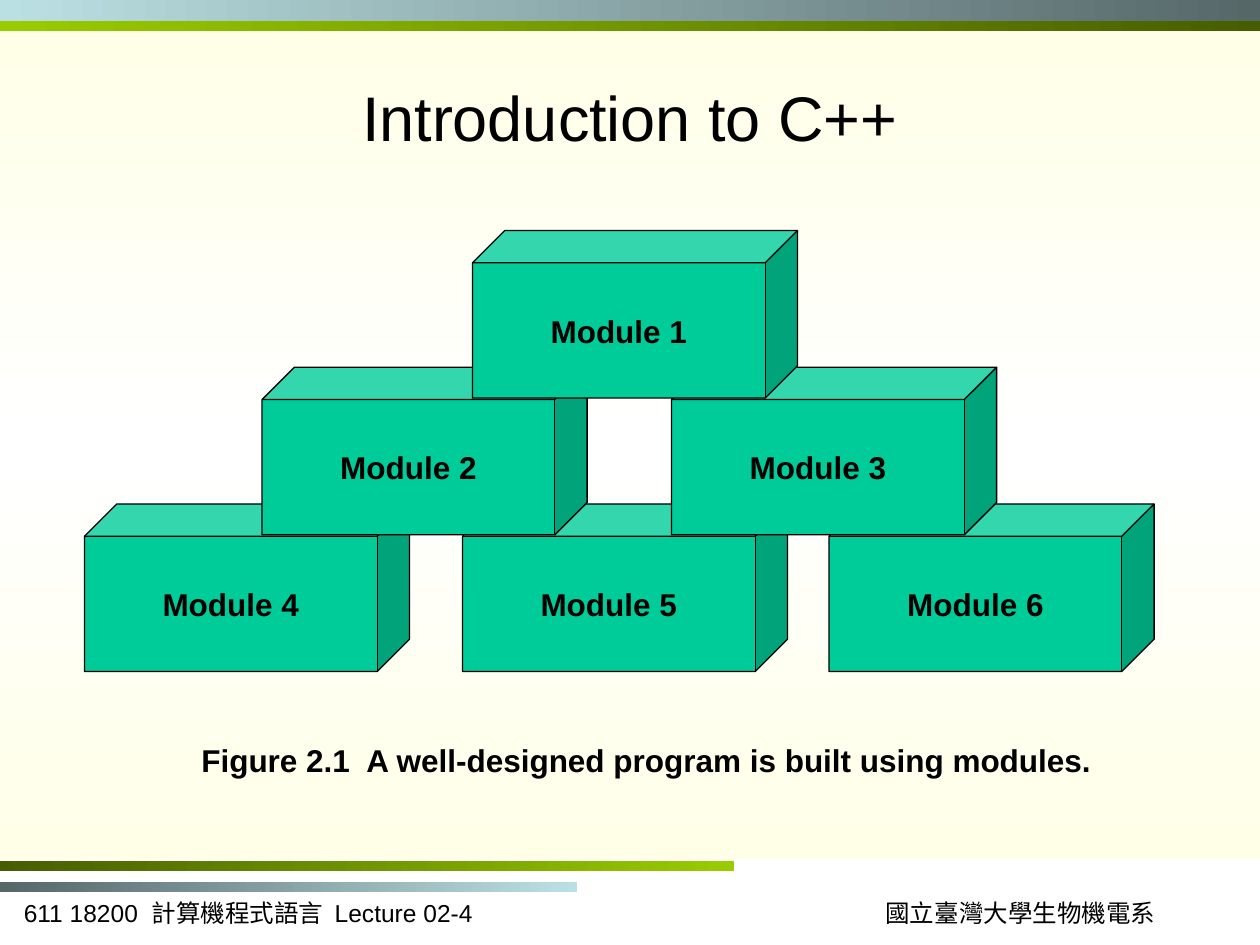
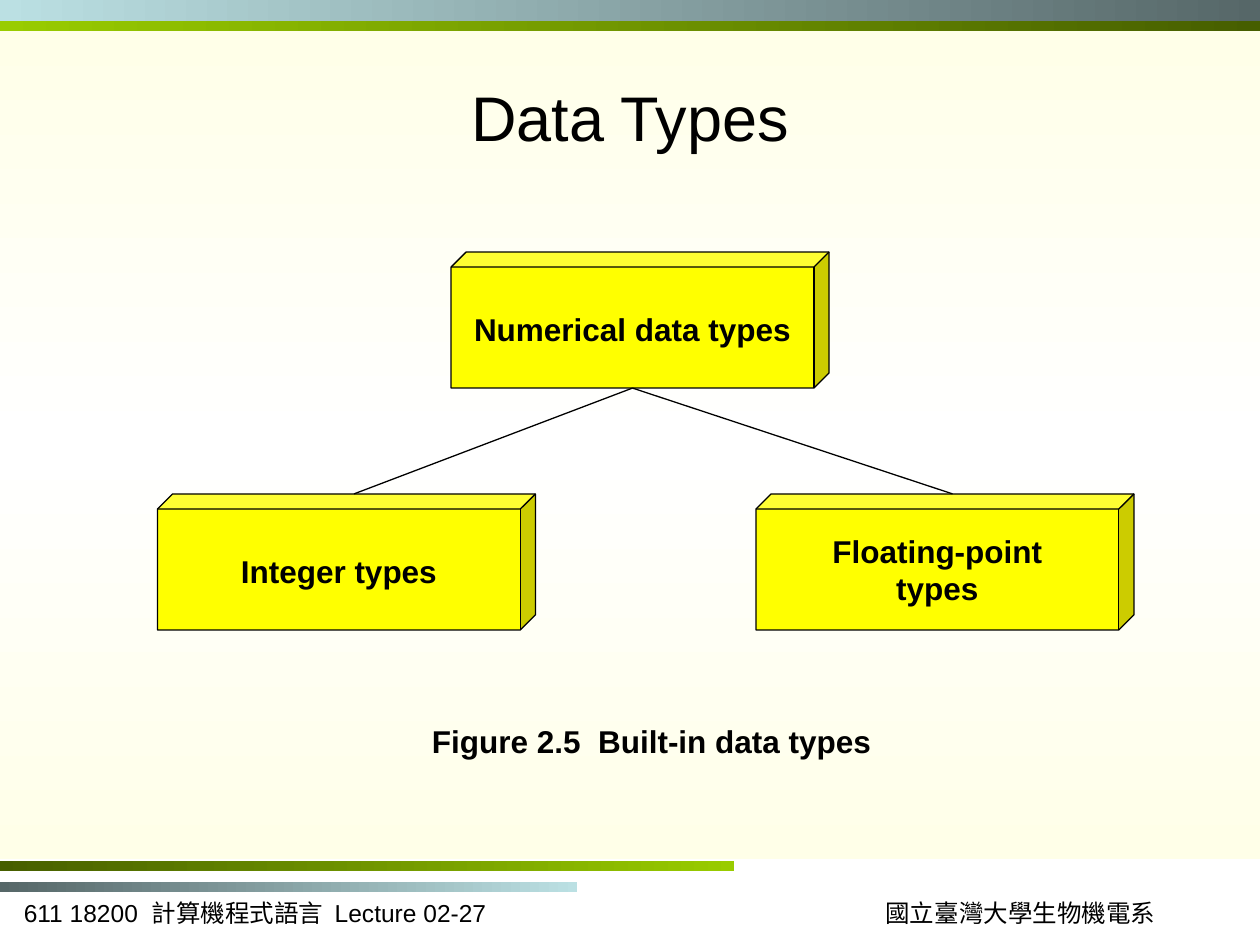
import dataclasses

import pptx
import pptx.dml.color
import pptx.enum.shapes
import pptx.enum.text
import pptx.oxml
import pptx.oxml.ns
import pptx.util
from pptx.util import Inches

KIND = pptx.enum.shapes.MSO_SHAPE
ALIGN = pptx.enum.text.PP_ALIGN
ANCHOR = pptx.enum.text.MSO_ANCHOR


@dataclasses.dataclass(frozen=True)
class Theme:
    """Colours, fonts and type sizes of the deck."""
    ink: str = "000000"
    lime: str = "99CC00"
    moss: str = "465E00"
    sky: str = "BBE0E3"
    slate: str = "566768"
    cream: str = "FFFFE8"
    white: str = "FFFFFF"
    green: str = "00CC99"
    yellow: str = "FFFF00"
    sans: str = "Arial"
    serif: str = "Times New Roman"
    title: int = 36
    label: int = 18
    foot: int = 14
    line: float = 0.75


@dataclasses.dataclass(frozen=True)
class Box:
    """A rectangle in inches."""
    x: float
    y: float
    w: float
    h: float

    def place(self):
        """Give the four lengths that python-pptx expects."""
        return [Inches(v) for v in (self.x, self.y, self.w, self.h)]

    def sub(self, x, y, w, h):
        """Give a box whose corner is offset from this one."""
        return Box(self.x + x, self.y + y, w, h)


THEME = Theme()
PAGE = Box(0, 0, 10, 7.5)
TITLE = Box(0.5, 0.3, 9, 1.25)
FOOT = Box(0, 7.08, 10, 0.33)


def color(code):
    """Turn a hex code into a colour."""
    return pptx.dml.color.RGBColor.from_string(code)


def write(frame, text, size=THEME.label, font=THEME.sans, bold=False,
          align=ALIGN.LEFT, anchor=ANCHOR.TOP, wrap=True, top=0.05):
    """Fill a text frame, one paragraph for each line of text."""
    frame.word_wrap = wrap
    frame.vertical_anchor = anchor
    frame.margin_top = Inches(top)
    frame.text = text
    for para in frame.paragraphs:
        para.alignment = align
        for run in para.runs:
            run.font.size = pptx.util.Pt(size)
            run.font.name = font
            run.font.bold = bold
            run.font.color.rgb = color(THEME.ink)


def label(slide, box, text, **form):
    """Add a text box."""
    write(slide.shapes.add_textbox(*box.place()).text_frame, text, **form)


def shade(shape, codes, angle=0):
    """Give a shape an even gradient through the listed colours."""
    last = len(codes) - 1
    stops = "".join(
        f'<a:gs pos="{100000 * i // last}"><a:srgbClr val="{code}"/></a:gs>'
        for i, code in enumerate(codes))
    grad = pptx.oxml.parse_xml(
        f'<a:gradFill {pptx.oxml.ns.nsdecls("a")} rotWithShape="1">'
        f'<a:gsLst>{stops}</a:gsLst>'
        f'<a:lin ang="{angle * 60000}" scaled="0"/></a:gradFill>')
    shape.element.spPr.find(pptx.oxml.ns.qn("a:prstGeom")).addnext(grad)


def backdrop(slide, layout, box):
    """Draw the panel and four bands, then hand them to the layout."""
    t = THEME
    parts = [
        (box.sub(0, 0.25, box.w, 6.57), (t.cream, t.white, t.cream), 90),
        (box.sub(0, 0.16, box.w, 0.09), (t.lime, t.moss), 0),
        (box.sub(0, 0, box.w, 0.17), (t.sky, t.slate), 0),
        (box.sub(0, 6.83, 5.83, 0.08), (t.moss, t.lime), 0),
        (box.sub(0, 7, 4.58, 0.08), (t.slate, t.sky), 0),
    ]
    for i, (area, codes, angle) in enumerate(parts):
        shape = slide.shapes.add_shape(KIND.RECTANGLE, *area.place())
        shape.shadow.inherit = False
        shape.line.fill.background()
        shade(shape, codes, angle)
        shape.element.xpath(".//p:cNvPr")[0].set("id", str(100 + i))
        layout.shapes.element.insert(2 + i, shape.element)


def footer(slide, box, page):
    """Write the course, page and school line."""
    label(slide, box.sub(0.09, 0, 4.75, box.h),
          f"611 18200  計算機程式語言  Lecture 02-{page}", size=THEME.foot)
    label(slide, box.sub(6.92, 0, 2.36, box.h), "國立臺灣大學生物機電系",
          size=THEME.foot, font=THEME.serif, align=ALIGN.CENTER)


def start(deck, layout, title, page):
    """Add a slide with its title and footer."""
    slide = deck.slides.add_slide(layout)
    write(slide.shapes.title.text_frame, title, size=THEME.title,
          align=ALIGN.CENTER, anchor=ANCHOR.MIDDLE)
    footer(slide, FOOT, page)
    return slide


def block(slide, box, text, fill, depth, **form):
    """Add a labelled cube; depth is a share of its height."""
    cube = slide.shapes.add_shape(KIND.CUBE, *box.place())
    cube.adjustments[0] = depth
    cube.shadow.inherit = False
    cube.fill.solid()
    cube.fill.fore_color.rgb = color(fill)
    cube.line.color.rgb = color(THEME.ink)
    cube.line.width = pptx.util.Pt(THEME.line)
    write(cube.text_frame, text, bold=True, align=ALIGN.CENTER, **form)


def link(slide, head, tail):
    """Join two points with a thin line."""
    line = slide.shapes.add_connector(
        pptx.enum.shapes.MSO_CONNECTOR.STRAIGHT,
        *[Inches(v) for v in head + tail])
    line.line.color.rgb = color(THEME.ink)
    line.line.width = pptx.util.Pt(THEME.line)
    line.element.spPr.append(pptx.oxml.parse_xml(
        f'<a:effectLst {pptx.oxml.ns.nsdecls("a")}/>'))


def stack(slide, box):
    """Pile up the module cubes, lowest row first."""
    wide, high = 2.58, 1.33
    rows = [[(3.08, 1)], [(1.41, 2), (4.66, 3)], [(0, 4), (3, 5), (5.91, 6)]]
    step = (box.h - high) / (len(rows) - 1)
    for i, row in reversed(list(enumerate(rows))):
        for x, num in row:
            block(slide, box.sub(x, i * step, wide, high), f"Module {num}",
                  THEME.green, 0.193, anchor=ANCHOR.MIDDLE, wrap=False)


def tree(slide, box):
    """Draw a root cube linked to two kinds below it."""
    wide, high, depth = 3, 1.08, 0.111
    skew = depth * high
    low = box.h - high
    root = box.sub(2.33, 0, wide, high)
    block(slide, root, "Numerical data types", THEME.yellow, depth, top=0.34)
    kinds = [(0, "Integer types", 0.34),
             (box.w - wide, "Floating-point\ntypes", 0.18)]
    for x, text, top in kinds:
        leaf = box.sub(x, low, wide, high)
        block(slide, leaf, text, THEME.yellow, depth, top=top)
        link(slide, (root.x + (wide - skew) / 2, root.y + high),
             (leaf.x + (wide + skew) / 2, leaf.y))


def main():
    """Build and save the deck."""
    deck = pptx.Presentation()
    deck.slide_width, deck.slide_height = Inches(PAGE.w), Inches(PAGE.h)
    layout = deck.slide_layouts[5]
    head = layout.placeholders[0]
    head.left, head.top, head.width, head.height = TITLE.place()

    slide = start(deck, layout, "Introduction to C++", 4)
    backdrop(slide, layout, PAGE)
    stack(slide, Box(0.67, 1.83, 8.49, 3.5))
    label(slide, Box(1.5, 5.83, 7.5, 0.41), bold=True,
          text="Figure 2.1  A well-designed program is built using modules.")

    slide = start(deck, layout, "Data Types", 27)
    tree(slide, Box(1.25, 2, 7.75, 3))
    label(slide, Box(3.33, 5.68, 3.72, 0.41), bold=True, wrap=False,
          text="Figure 2.5  Built-in data types")

    deck.save("out.pptx")


main()
